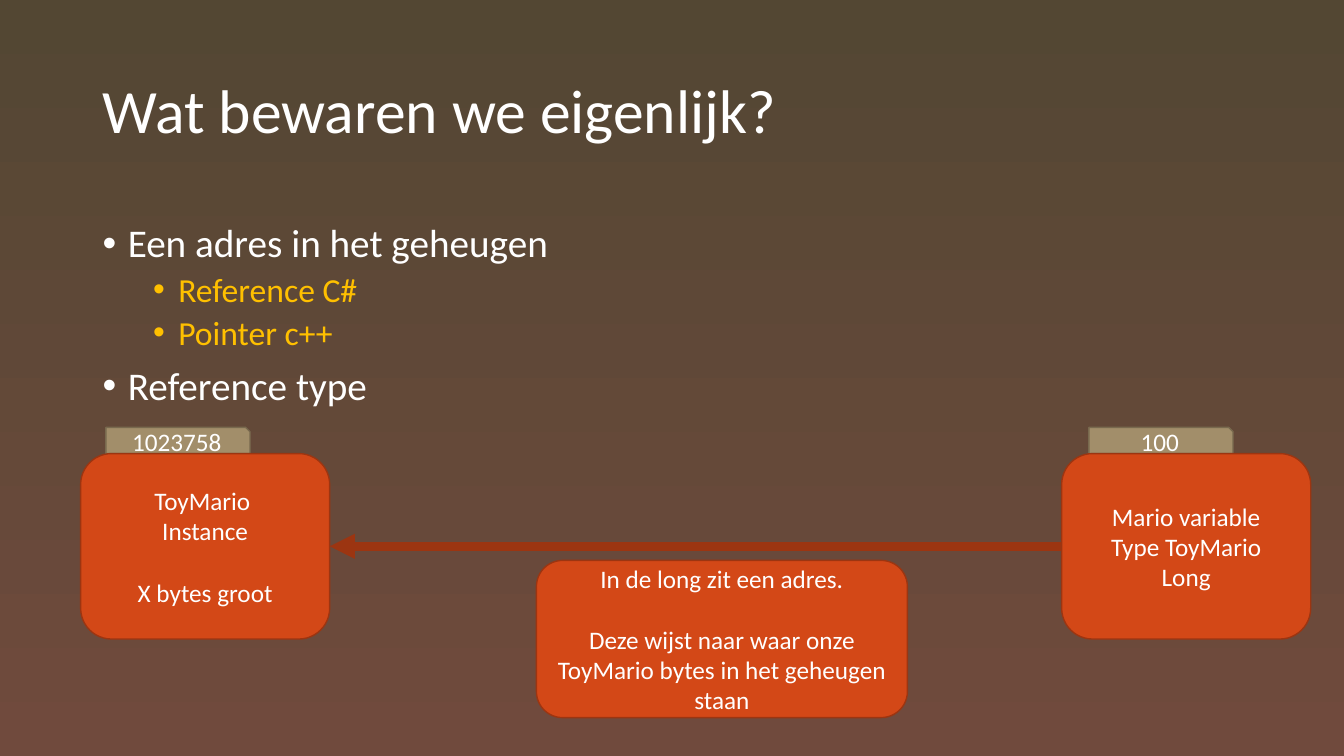
from lxml import etree
from pptx import Presentation
from pptx.dml.color import RGBColor
from pptx.enum.shapes import MSO_CONNECTOR, MSO_SHAPE
from pptx.enum.text import MSO_ANCHOR, PP_ALIGN
from pptx.oxml.ns import qn
from pptx.util import Inches, Pt

BOX = MSO_SHAPE.FLOWCHART_ALTERNATE_PROCESS
TAB = MSO_SHAPE.SNIP_1_RECTANGLE
STRAIGHT = MSO_CONNECTOR.STRAIGHT
MIDDLE = MSO_ANCHOR.MIDDLE
CENTER = PP_ALIGN.CENTER
LEFT_SIDE, RIGHT_SIDE = 1, 3

WHITE, GOLD = "FFFFFF", "FFC000"
ORANGE, RUST = "D34817", "9C3511"
SAND, DARK_SAND = "A28E6A", "78694E"
BACKGROUND = ("534733", "704A3D")

BULLETS = [
    (0, "Een adres in het geheugen"),
    (1, "Reference C#"),
    (1, "Pointer c++"),
    (0, "Reference type"),
]
LEVELS = [
    {"size": 28, "color": WHITE, "indent": 0.25, "before": 10},
    {"size": 24, "color": GOLD, "indent": 0.75, "before": 5},
]


def rgb(color):
    """Turn a hex string into a colour."""
    return RGBColor.from_string(color)


def set_font(paragraph, size, color=WHITE):
    """Give a paragraph its typeface, size and colour."""
    paragraph.font.name = "Calibri"
    paragraph.font.size = Pt(size)
    paragraph.font.color.rgb = rgb(color)


def set_background(slide):
    """Fill the slide with a gradient running from top to bottom."""
    fill = slide.background.fill
    fill.gradient()
    fill.gradient_angle = 270
    for stop, position, color in zip(fill.gradient_stops, (0, 1), BACKGROUND):
        stop.position = position
        stop.color.rgb = rgb(color)


def add_text_frame(slide, left, top, width, height):
    """Add a wrapping text box and return its text frame."""
    frame = slide.shapes.add_textbox(
        Inches(left), Inches(top), Inches(width), Inches(height)).text_frame
    frame.word_wrap = True
    return frame


def add_title(slide, title):
    """Add the slide title."""
    frame = add_text_frame(slide, 0.92, 0.4, 11.5, 1.45)
    frame.vertical_anchor = MIDDLE
    heading = frame.paragraphs[0]
    heading.text = title
    heading.line_spacing = 0.9
    set_font(heading, 44)


def add_bullets(slide, bullets):
    """Add the two-level bullet list."""
    frame = add_text_frame(slide, 0.92, 2.17, 11.97, 5.11)
    for index, (level, text) in enumerate(bullets):
        style = LEVELS[level]
        point = frame.paragraphs[0] if index == 0 else frame.add_paragraph()
        point.text = text
        point.level = level
        point.line_spacing = 0.9
        if index:
            point.space_before = Pt(style["before"])
        properties = point._p.get_or_add_pPr()
        properties.set("marL", str(Inches(style["indent"])))
        properties.set("indent", str(Inches(-0.25)))
        etree.SubElement(properties, qn("a:buFont"), typeface="Arial")
        etree.SubElement(properties, qn("a:buChar"), char="•")
        set_font(point, style["size"], style["color"])


def add_block(slide, kind, left, top, width, height, fill, line, groups):
    """Add a filled shape whose groups of lines are one line apart."""
    block = slide.shapes.add_shape(
        kind, Inches(left), Inches(top), Inches(width), Inches(height))
    block.shadow.inherit = False
    block.fill.solid()
    block.fill.fore_color.rgb = rgb(fill)
    block.line.color.rgb = rgb(line)
    block.line.width = Pt(1)
    frame = block.text_frame
    frame.word_wrap = True
    frame.vertical_anchor = MIDDLE
    lines = [(number, text) for number, group in enumerate(groups) for text in group]
    previous = 0
    for index, (number, text) in enumerate(lines):
        paragraph = frame.paragraphs[0] if index == 0 else frame.add_paragraph()
        paragraph.text = text
        paragraph.alignment = CENTER
        if number != previous:
            paragraph.space_before = Pt(22)
        previous = number
        set_font(paragraph, 18)
    return block


def add_memory_cell(slide, left, tab_left, address, groups):
    """Add a memory cell with its address on a tab above it."""
    add_block(slide, TAB, tab_left, 4.24, 1.43, 0.26, SAND, DARK_SAND, [[address]])
    return add_block(slide, BOX, left, 4.5, 2.47, 1.84, ORANGE, RUST, groups)


def add_pointer(slide, variable, instance):
    """Draw the arrow from the variable to the instance."""
    pointer = slide.shapes.add_connector(STRAIGHT, 0, 0, 0, 0)
    pointer.begin_connect(variable, LEFT_SIDE)
    pointer.end_connect(instance, RIGHT_SIDE)
    pointer.line.color.rgb = rgb(RUST)
    pointer.line.width = Pt(6)
    etree.SubElement(pointer.line._get_or_add_ln(), qn("a:tailEnd"), type="triangle")
    etree.SubElement(pointer._element.spPr, qn("a:effectLst"))


def main():
    """Build the slide and save it."""
    presentation = Presentation()
    presentation.slide_width = Inches(13.33)
    presentation.slide_height = Inches(7.5)
    slide = presentation.slides.add_slide(presentation.slide_layouts[6])
    set_background(slide)
    add_title(slide, "Wat bewaren we eigenlijk?")
    add_bullets(slide, BULLETS)
    instance = add_memory_cell(
        slide, 0.8, 1.05, "1023758", [["ToyMario ", "Instance"], ["X bytes groot"]])
    variable = add_memory_cell(
        slide, 10.53, 10.8, "100", [["Mario variable", "Type ToyMario", "Long"]])
    add_pointer(slide, variable, instance)
    add_block(slide, BOX, 5.32, 5.56, 3.68, 1.56, ORANGE, RUST, [
        ["In de long zit een adres."],
        ["Deze wijst naar waar onze ToyMario bytes in het geheugen staan"],
    ])
    presentation.save("out.pptx")


if __name__ == "__main__":
    main()
